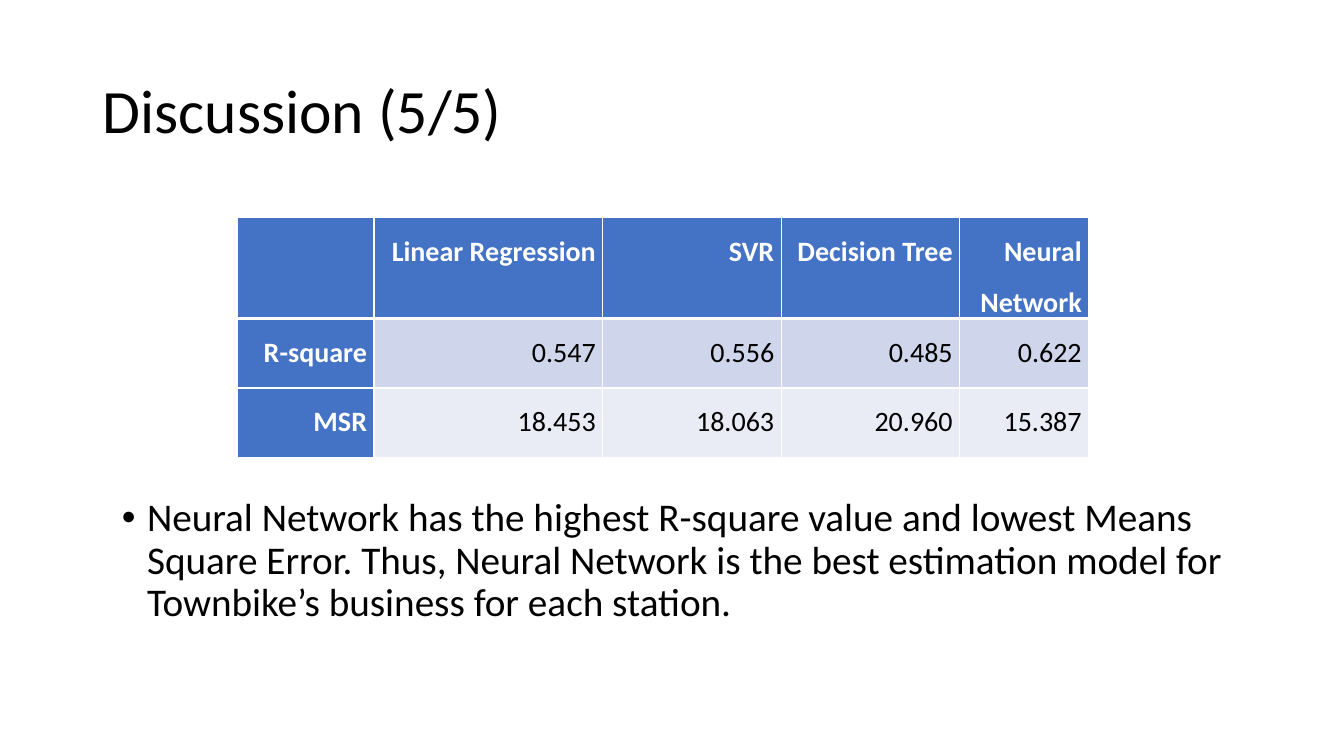
from dataclasses import dataclass

import lxml.etree
import pptx
import pptx.dml.color
import pptx.enum.text
import pptx.oxml.ns
import pptx.util

RGBColor = pptx.dml.color.RGBColor
Align = pptx.enum.text.PP_ALIGN
Anchor = pptx.enum.text.MSO_ANCHOR

SCALE = 9144  # EMU per px, 100 px to the inch
FONT = "Calibri"
BLACK = RGBColor(0x00, 0x00, 0x00)
WHITE = RGBColor(0xFF, 0xFF, 0xFF)
BLUE = RGBColor(0x44, 0x72, 0xC4)
BANDS = (RGBColor(0xCF, 0xD5, 0xEA), RGBColor(0xE9, 0xEB, 0xF5))


@dataclass(frozen=True)
class TextBlock:
    text: str
    left: int
    top: int
    width: int
    height: int
    size: int
    anchor: Anchor
    bulleted: bool = False


TEXT_BLOCKS = (
    TextBlock("Discussion (5/5)", 92, 40, 1150, 145, 44, Anchor.MIDDLE),
    TextBlock(
        "Neural Network has the highest R-square value and lowest Means Square "
        "Error. Thus, Neural Network is the best estimation model for "
        "Townbike’s business for each station.",
        111, 489, 1131, 190, 28, Anchor.TOP, bulleted=True,
    ),
)

TABLE_LEFT, TABLE_TOP = 235, 216
COLUMN_WIDTHS = (136, 227, 177, 177, 128)
ROW_HEIGHT = 69
MODEL_SCORES = (
    ("", "Linear Regression", "SVR", "Decision Tree", "Neural Network"),
    ("R-square", "0.547", "0.556", "0.485", "0.622"),
    ("MSR", "18.453", "18.063", "20.960", "15.387"),
)


def px(length: int) -> int:
    return pptx.util.Emu(length * SCALE)


def apply_format(target, values: dict) -> None:
    for name, value in values.items():
        setattr(target, name, value)


def write_text(para, text: str, size: int, color: RGBColor, bold: bool = False) -> None:
    span = para.add_run()
    span.text = text
    apply_format(span.font, {"name": FONT, "size": pptx.util.Pt(size), "bold": bold})
    span.font.color.rgb = color


def add_bullet(para) -> None:
    properties = para._p.get_or_add_pPr()
    properties.set("marL", str(px(25)))
    properties.set("indent", str(px(-25)))
    for tag, name, value in (("a:buFont", "typeface", "Arial"), ("a:buChar", "char", "•")):
        lxml.etree.SubElement(properties, pptx.oxml.ns.qn(tag)).set(name, value)


def add_text_block(page, block: TextBlock) -> None:
    box = page.shapes.add_textbox(*map(px, (block.left, block.top, block.width, block.height)))
    apply_format(box.text_frame, {"word_wrap": True, "vertical_anchor": block.anchor})
    para = box.text_frame.paragraphs[0]
    para.line_spacing = 0.9
    if block.bulleted:
        para.space_before = pptx.util.Pt(10)
        add_bullet(para)
    write_text(para, block.text, block.size, BLACK)


def add_borders(cell, widths: dict[str, int]) -> None:
    properties = cell._tc.get_or_add_tcPr()
    for side, width in widths.items():
        line = lxml.etree.SubElement(properties, pptx.oxml.ns.qn(f"a:ln{side}"))
        line.set("w", str(pptx.util.Pt(width)))
        fill = lxml.etree.SubElement(line, pptx.oxml.ns.qn("a:solidFill"))
        lxml.etree.SubElement(fill, pptx.oxml.ns.qn("a:srgbClr")).set("val", str(WHITE))


def fill_cell(cell, text: str, row: int, column: int) -> None:
    is_heading = row == 0 or column == 0
    # The rule under the heading row is thicker than the others
    add_borders(cell, {"L": 1, "R": 1, "T": 3 if row == 1 else 1, "B": 3 if row == 0 else 1})
    cell.fill.solid()
    cell.fill.fore_color.rgb = BLUE if is_heading else BANDS[row - 1]
    if not text:
        return
    apply_format(cell, {"margin_left": px(7), "margin_right": px(7),
                        "margin_top": 0, "margin_bottom": 0})
    para = cell.text_frame.paragraphs[0]
    apply_format(para, {"alignment": Align.RIGHT, "line_spacing": 1.5})
    write_text(para, text, 20, WHITE if is_heading else BLACK, bold=is_heading)


def add_score_table(page) -> None:
    row_count = len(MODEL_SCORES)
    frame = page.shapes.add_table(
        row_count, len(COLUMN_WIDTHS), px(TABLE_LEFT), px(TABLE_TOP),
        px(sum(COLUMN_WIDTHS)), px(ROW_HEIGHT * row_count),
    )
    table = frame.table
    apply_format(table, {"first_row": True, "first_col": True, "horz_banding": False})
    for column, width in zip(table.columns, COLUMN_WIDTHS):
        column.width = px(width)
    for row, scores in enumerate(MODEL_SCORES):
        table.rows[row].height = px(ROW_HEIGHT)
        for column, text in enumerate(scores):
            fill_cell(table.cell(row, column), text, row, column)


def main() -> None:
    deck = pptx.Presentation()
    apply_format(deck, {"slide_width": px(1333), "slide_height": px(750)})
    page = deck.slides.add_slide(deck.slide_layouts[6])

    # Title, table of model scores, conclusion
    title, conclusion = TEXT_BLOCKS
    add_text_block(page, title)
    add_score_table(page)
    add_text_block(page, conclusion)

    deck.save("out.pptx")


if __name__ == "__main__":
    main()
